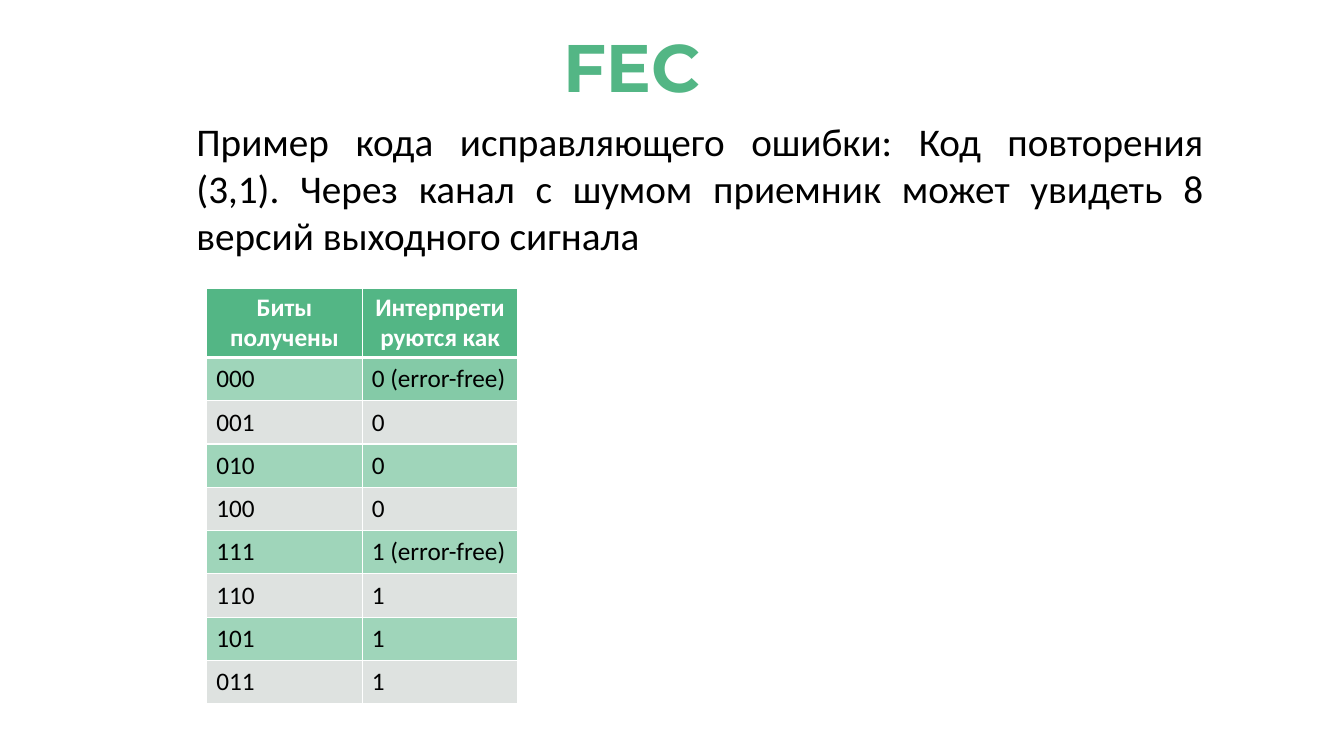
"""Build the FEC slide: a repetition code and how received bits are read."""
from dataclasses import dataclass

from lxml import etree
from pptx import Presentation
from pptx import util as u
from pptx.dml.color import RGBColor
from pptx.enum import text
from pptx.oxml import ns


@dataclass(frozen=True)
class Theme:
    green: str = "53B685"
    mint: str = "9FD5BA"
    deep: str = "84CAA7"
    grey: str = "DEE2E0"
    white: str = "FFFFFF"
    black: str = "000000"
    title: int = 48
    body: int = 28
    cell: int = 18
    head: str = "Montserrat"
    main: str = "Calibri"


def write(frame, words, color, align=text.PP_ALIGN.LEFT, **font):
    par = frame.paragraphs[0]
    par.alignment = align
    run = par.add_run()
    run.text = words
    run.font.color.rgb = RGBColor.from_string(color)
    for name, value in font.items():
        setattr(run.font, name, value)


def border(cell, side, color, width):
    line = etree.SubElement(cell._tc.get_or_add_tcPr(), ns.qn("a:" + side), w=str(u.Pt(width)))
    fill = etree.SubElement(line, ns.qn("a:solidFill"))
    etree.SubElement(fill, ns.qn("a:srgbClr"), val=color)


look = Theme()
deck = Presentation()
deck.slide_width, deck.slide_height = u.Cm(33.87), u.Cm(19.05)
slide = deck.slides.add_slide(deck.slide_layouts[6])

lead = ("Пример кода исправляющего ошибки: Код повторения (3,1). "
        "Через канал с шумом приемник может увидеть 8 версий выходного сигнала")
boxes = [
    ((4.7, 2.82, 25.88, 5.05), lead, look.black, text.PP_ALIGN.JUSTIFY,
     {"size": u.Pt(look.body), "name": look.main}),
    ((13.94, 0.51, 24.64, 2.31), "FEC", look.green, text.PP_ALIGN.LEFT,
     {"size": u.Pt(look.title), "name": look.head, "bold": True}),
]
for place, words, color, align, font in boxes:
    frame = slide.shapes.add_textbox(*map(u.Cm, place)).text_frame
    frame.word_wrap = True
    write(frame, words, color, align, **font)

rows = [
    ("Биты получены", "Интерпретируются как"),
    ("000", "0 (error-free)"),
    ("001", "0"),
    ("010", "0"),
    ("100", "0"),
    ("111", "1 (error-free)"),
    ("110", "1"),
    ("101", "1"),
    ("011", "1"),
]
high = [1.75] + [1.09] * (len(rows) - 1)
wide = [3.92] * 2
grid = slide.shapes.add_table(len(rows), len(wide), u.Cm(5.21), u.Cm(7.26),
                              u.Cm(sum(wide)), u.Cm(sum(high))).table
for col, size in zip(grid.columns, wide):
    col.width = u.Cm(size)

form = {
    "margin_left": u.Cm(0.24),
    "margin_right": u.Cm(0.24),
    "margin_top": u.Cm(0.1),
    "margin_bottom": u.Cm(0.1),
    "vertical_anchor": text.MSO_ANCHOR.MIDDLE,
}
for r, row in enumerate(rows):
    grid.rows[r].height = u.Cm(high[r])
    top = r == 0
    for c, words in enumerate(row):
        cell = grid.cell(r, c)
        for name, value in form.items():
            setattr(cell, name, value)
        for side in ("lnL", "lnR", "lnT", "lnB"):
            thick = (top and side == "lnB") or (r == 1 and side == "lnT")
            border(cell, side, look.white, 3 if thick else 1)
        shade = look.green if top else look.mint if r % 2 else look.grey
        if (r, c) == (1, 1):
            shade = look.deep
        cell.fill.solid()
        cell.fill.fore_color.rgb = RGBColor.from_string(shade)
        write(cell.text_frame, words, look.white if top else look.black,
              text.PP_ALIGN.CENTER if top else text.PP_ALIGN.LEFT,
              size=u.Pt(look.cell), name=look.main, bold=top)

deck.save("out.pptx")
